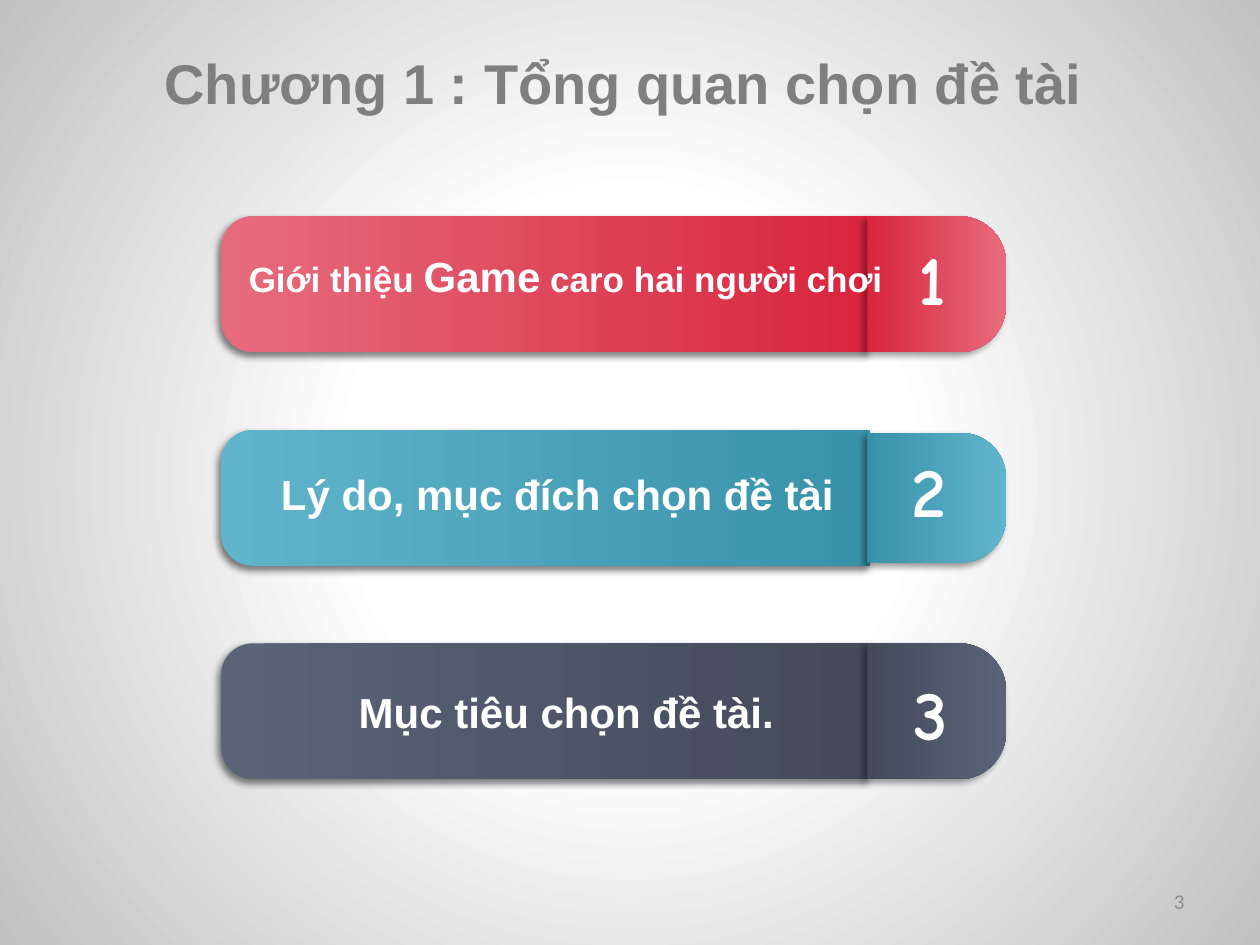
from pptx import Presentation
from pptx.dml.color import RGBColor
from pptx.enum.shapes import MSO_SHAPE
from pptx.enum.text import MSO_ANCHOR, MSO_AUTO_SIZE, PP_ALIGN
from pptx.oxml import parse_xml
from pptx.oxml.ns import nsdecls, qn
from pptx.util import Inches, Pt

TAB_SHAPE = MSO_SHAPE.ROUND_2_SAME_RECTANGLE
CENTER, RIGHT = PP_ALIGN.CENTER, PP_ALIGN.RIGHT
TOP, MIDDLE = MSO_ANCHOR.TOP, MSO_ANCHOR.MIDDLE
GROW, FIXED = MSO_AUTO_SIZE.SHAPE_TO_FIT_TEXT, MSO_AUTO_SIZE.NONE
TITLE_ONLY = 5

COLORS = {
    "white": "FFFFFF", "edge": "C1C1C1", "title": "7F7F7F", "number": "8C8C8C",
    "red_light": "E66C7D", "red_dark": "D9253E",
    "blue_light": "60B5CC", "blue_dark": "3792AA",
    "slate_light": "5A6378", "slate_dark": "444A5A",
}


class SlideBuilder:
    """Places elements by centre and size on a grid of 100 columns, 75 rows."""

    def __init__(self, prs):
        self.col = prs.slide_width / 100
        self.row = prs.slide_height / 75
        self.slide = prs.slides.add_slide(prs.slide_layouts[TITLE_ONLY])

    def place(self, shape, x, y, w, h):
        shape.left, shape.top = int((x - w / 2) * self.col), int((y - h / 2) * self.row)
        shape.width, shape.height = int(w * self.col), int(h * self.row)

    def gradient(self, stops, direction):
        marks = "".join(
            f'<a:gs pos="{pos * 1000}"><a:srgbClr val="{COLORS[color]}"/></a:gs>'
            for pos, color in stops)
        return (f'<a:gradFill {nsdecls("a")} rotWithShape="1">'
                f'<a:gsLst>{marks}</a:gsLst>{direction}</a:gradFill>')

    def background(self, stops):
        circle = ('<a:path path="circle"><a:fillToRect l="50000" t="50000" '
                  'r="50000" b="50000"/></a:path>')
        self.slide.element.cSld.insert(0, parse_xml(
            f'<p:bg {nsdecls("p", "a")}><p:bgPr>{self.gradient(stops, circle)}'
            '<a:effectLst/></p:bgPr></p:bg>'))

    def set_text(self, shape, runs, color, font="Arial", bold=True, align=CENTER,
                 anchor=MIDDLE, wrap=True, autosize=GROW):
        frame = shape.text_frame
        frame.word_wrap, frame.auto_size = wrap, autosize
        frame.vertical_anchor = anchor
        paragraph = frame.paragraphs[0]
        paragraph.alignment = align
        paragraph.font.name, paragraph.font.bold = font, bold
        paragraph.font.color.rgb = RGBColor.from_string(COLORS[color])
        if len(runs) == 1:
            paragraph.font.size = Pt(runs[0][1])
        for text, size in runs:
            run = paragraph.add_run()
            run.text = text
            if len(runs) > 1:
                run.font.size = Pt(size)

    def title(self, text, box):
        self.place(self.slide.shapes.title, *box)
        self.set_text(self.slide.shapes.title, [(text, 32)], "title", wrap=False)

    def text(self, runs, box, color="white", **style):
        textbox = self.slide.shapes.add_textbox(0, 0, 0, 0)
        self.place(textbox, *box)
        self.set_text(textbox, runs, color, **style)

    def tab(self, box, rotation, rounding, stops, angle, opacity, flip=False):
        shape = self.slide.shapes.add_shape(TAB_SHAPE, 0, 0, 0, 0)
        self.place(shape, *box)
        shape.rotation = rotation
        shape.adjustments[0], shape.adjustments[1] = rounding, 0
        properties = shape._element.spPr
        if flip:
            properties.xfrm.set("flipH", "1")
        direction = f'<a:lin ang="{angle * 60000}" scaled="0"/>'
        properties.find(qn("a:prstGeom")).addnext(
            parse_xml(self.gradient(stops, direction)))
        shape.line.fill.background()
        shape.shadow.inherit = False
        properties.find(qn("a:effectLst")).append(parse_xml(
            f'<a:outerShdw {nsdecls("a")} blurRad="{Pt(4)}" dist="{Pt(3)}" '
            'dir="8100000" rotWithShape="0"><a:srgbClr val="000000">'
            f'<a:alpha val="{opacity * 1000}"/></a:srgbClr></a:outerShdw>'))


def main():
    prs = Presentation()
    prs.slide_width, prs.slide_height = Inches(10), Inches(7.5)
    page = SlideBuilder(prs)
    page.background([(35, "white"), (100, "edge")])
    page.title("Chương 1 : Tổng quan chọn đề tài", (49.5, 6.5, 75.4, 6.4))

    # Topics: hue, tab height, digit centre, label centre and width, label runs
    topics = [
        ("red", 10.8, (73.95, 22.05), (44.9, 21.9, 53.4),
         [("Giới thiệu ", 20), ("Game", 24), (" caro hai người chơi", 20)]),
        ("blue", 10.3, (73.7, 38.85), (44.25, 39.2, 47.3),
         [("Lý do, mục đích chọn đề tài", 24)]),
        ("slate", 10.8, (73.9, 56.55), (44.95, 56.5, 41.3),
         [("Mục tiêu chọn đề tài.", 24)]),
    ]
    first_row, pitch = 22.55, 16.95

    # Bars and number tabs
    for index, (hue, tab_height, *_) in enumerate(topics):
        y = first_row + index * pitch
        light, dark = f"{hue}_light", f"{hue}_dark"
        page.tab((43.3, y, 10.8, 51.5), 270, 0.233,
                 [(0, light), (99, dark)], 90, 50)
        page.tab((74.35, y, tab_height, 11), 90, 0.347,
                 [(0, dark), (100, light)], 270, 40, flip=True)

    # Digits and labels
    for number, (_, _, digit, (x, y, width), runs) in enumerate(topics, 1):
        page.text([(str(number), 40)], (*digit, 6.1, 7.7), font="Comic Neue")
        page.text(runs, (x, y, width, 5), anchor=TOP)

    # Slide number
    page.text([("3", 12)], (83.35, 71.5, 23.3, 4), "number", font="Calibri",
              bold=False, align=RIGHT, autosize=FIXED)
    prs.save("out.pptx")


if __name__ == "__main__":
    main()
